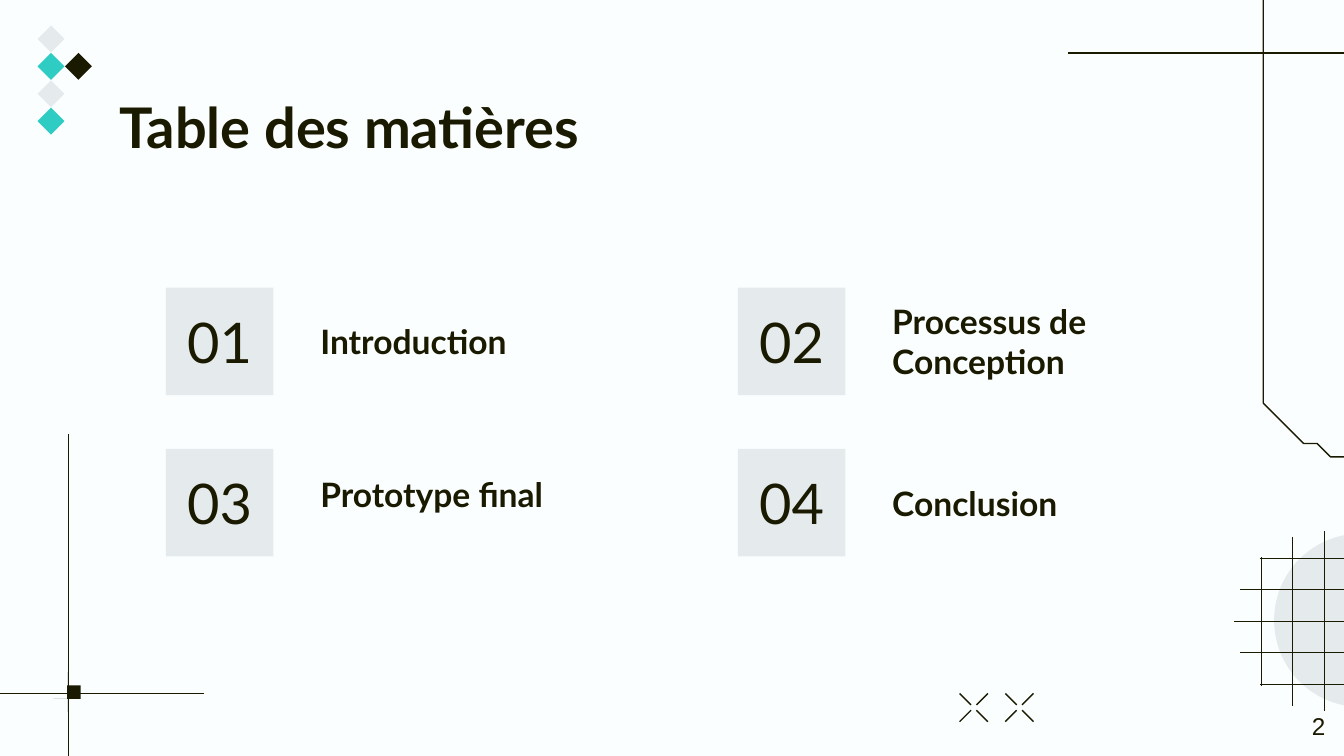
import math

from lxml import etree
from pptx import Presentation
from pptx import util as u
from pptx.dml.color import RGBColor
from pptx.enum import shapes, text
from pptx.oxml.ns import qn

INK = RGBColor(0x1A, 0x1A, 0x00)
GREY = RGBColor(0xE5, 0xEB, 0xEC)
TEAL = RGBColor(0x2F, 0xCC, 0xC4)
PAPER = RGBColor(0xFA, 0xFE, 0xFF)

# The grid has 100 columns and 56.25 rows of square cells
COLS, ROWS = 100, 56.25
CELL = u.Inches(0.1)


def cells(count):
    return round(count * CELL)


def arc(x, y, radius, start, end, steps=12):
    """Points along a circle, angles in degrees clockwise from the right."""
    angles = [math.radians(start + (end - start) * i / steps) for i in range(steps + 1)]
    return [(x + radius * math.cos(a), y + radius * math.sin(a)) for a in angles]


class Deck:
    """Holds the style and the current slide; lengths are in grid cells."""

    font = "Lato"
    inset = 1
    line_width = 0.75

    def __init__(self):
        self.prs = Presentation()
        self.prs.slide_width, self.prs.slide_height = cells(COLS), cells(ROWS)
        self.slide = self.prs.slides.add_slide(self.prs.slide_layouts[6])
        self.slide.background.fill.solid()
        self.slide.background.fill.fore_color.rgb = PAPER

    def paint(self, shape, fill):
        shape.shadow.inherit = False
        shape.fill.solid()
        shape.fill.fore_color.rgb = fill
        shape.line.fill.background()

    def shape(self, preset, x, y, w, h, fill):
        shape = self.slide.shapes.add_shape(preset, *map(cells, (x, y, w, h)))
        self.paint(shape, fill)
        return shape

    def line(self, x1, y1, x2, y2, width=line_width):
        line = self.slide.shapes.add_connector(
            shapes.MSO_CONNECTOR.STRAIGHT, *map(cells, (x1, y1, x2, y2)))
        line.line.color.rgb = INK
        line.line.width = u.Pt(width)
        etree.SubElement(line._element.spPr, qn("a:effectLst"))

    def outline(self, points, closed):
        builder = self.slide.shapes.build_freeform(*points[0], scale=CELL)
        builder.add_line_segments(points[1:], close=closed)
        outline = builder.convert_to_shape()
        self.paint(outline, INK)
        if not closed:
            outline.fill.background()
            outline.line.color.rgb = INK
            outline.line.width = u.Pt(self.line_width)

    def sparkle(self, x, y, radius, tip):
        """Four-pointed star with hollow sides and thin upper and lower tips."""
        lower = arc(x + radius, y + radius, radius, 180, 270)
        upper = arc(x + radius, y - radius, radius, 90, 180)
        right = [(x, y + tip), *lower, *upper, (x, y - tip)]
        left = [(2 * x - px, py) for px, py in reversed(right)]
        self.outline(right + left[1:-1], closed=True)

    def add_words(self, shape, words, size, bold=False, font=font, bottom=inset,
                  align=text.PP_ALIGN.LEFT, anchor=text.MSO_ANCHOR.MIDDLE):
        frame = shape.text_frame
        frame.word_wrap = True
        frame.vertical_anchor = anchor
        frame.margin_left = frame.margin_right = frame.margin_top = cells(self.inset)
        frame.margin_bottom = cells(bottom)
        frame.paragraphs[0].alignment = align
        run = frame.paragraphs[0].add_run()
        run.text = words
        run.font.name, run.font.size, run.font.bold = font, u.Pt(size), bold
        run.font.color.rgb = INK

    def label(self, x, y, w, h, words, size, **style):
        box = self.slide.shapes.add_textbox(*map(cells, (x, y, w, h)))
        self.add_words(box, words, size, **style)

    def save(self):
        self.prs.save("out.pptx")


def draw_corners(deck):
    # Bottom-left crossing
    deck.line(5.1, 32.3, 5.1, ROWS)
    deck.line(0, 51.6, 15.2, 51.6)
    deck.sparkle(5.1, 51.6, 0.95, 1.15)

    # Top-right crossing, with a rounded turn towards the edge
    deck.outline([(94, 0), *arc(COLS, 27.6, 6, 180, 90)], closed=False)
    deck.line(79.5, 3.95, COLS, 3.95)
    deck.sparkle(94.05, 3.9, 1.25, 1.6)


def draw_ornaments(deck):
    # Diamonds: column, row, colour
    size = 2
    for col, row, colour in [(0, 0, GREY), (0, 1, TEAL), (1, 1, INK), (0, 2, GREY), (0, 3, TEAL)]:
        deck.shape(shapes.MSO_SHAPE.DIAMOND, 2.8 + col * size * 1.02, 1.9 + row * size * 1.02,
                   size, size, colour)

    # Two open crosses
    inner, outer, middle = 0.2, 1.05, 52.65
    for centre in (72.45, 75.85):
        for dx in (-1, 1):
            for dy in (-1, 1):
                deck.line(centre + dx * inner, middle + dy * inner,
                          centre + dx * outer, middle + dy * outer)

    # Half disc under a mesh whose lines overhang most in the middle
    disc = deck.shape(shapes.MSO_SHAPE.CHORD, 94.8, 39.7, 12.9, 12.9, GREY)
    disc.adjustments[0], disc.adjustments[1] = 54, 162
    left, top, pitch, thin = 93.85, 41.55, 2.34, 0.5
    bottom = top + 4 * pitch
    for i, overhang in enumerate([0.1, 1.6, 2, 1.6, 0.1]):
        deck.line(left - overhang, top + i * pitch, COLS, top + i * pitch, thin)
        if left + i * pitch < COLS:
            deck.line(left + i * pitch, top - overhang, left + i * pitch, bottom + overhang, thin)


def draw_contents(deck):
    deck.label(7.9, 5.9, 84.3, 6.3, "Table des matières", 30, bold=True,
               anchor=text.MSO_ANCHOR.TOP)

    # Chapter: title, drop of its label, bottom inset of its label
    chapters = [("Introduction", 0, 1), ("Processus de Conception", 0, 1),
                ("Prototype final", 0.9, 4), ("Conclusion", 0, 1)]
    side = 8
    for i, (title, drop, bottom) in enumerate(chapters):
        x, y = 12.35 + i % 2 * 42.55, 21.4 + i // 2 * 12
        number = deck.shape(shapes.MSO_SHAPE.RECTANGLE, x, y, side, side, GREY)
        deck.add_words(number, f"{i + 1:02}", 30, align=text.PP_ALIGN.CENTER)
        deck.label(x + 10.5, y + drop, 22.2, side, title, 18, bold=True, bottom=bottom)

    # Page number
    deck.label(93.6, 51.9, 6, 4.3, "2", 13, font="Arial", align=text.PP_ALIGN.RIGHT,
               anchor=text.MSO_ANCHOR.TOP)


def main():
    deck = Deck()
    draw_corners(deck)
    draw_ornaments(deck)
    draw_contents(deck)
    deck.save()


if __name__ == "__main__":
    main()
